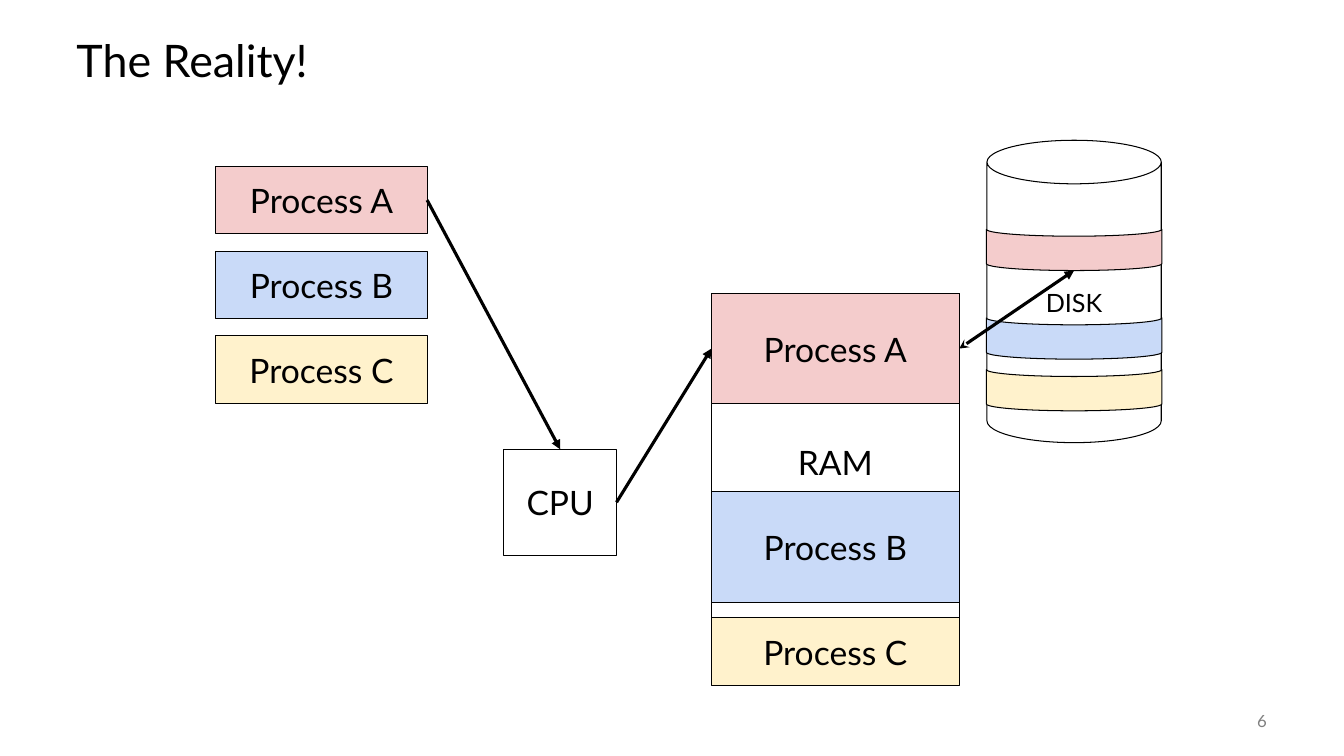
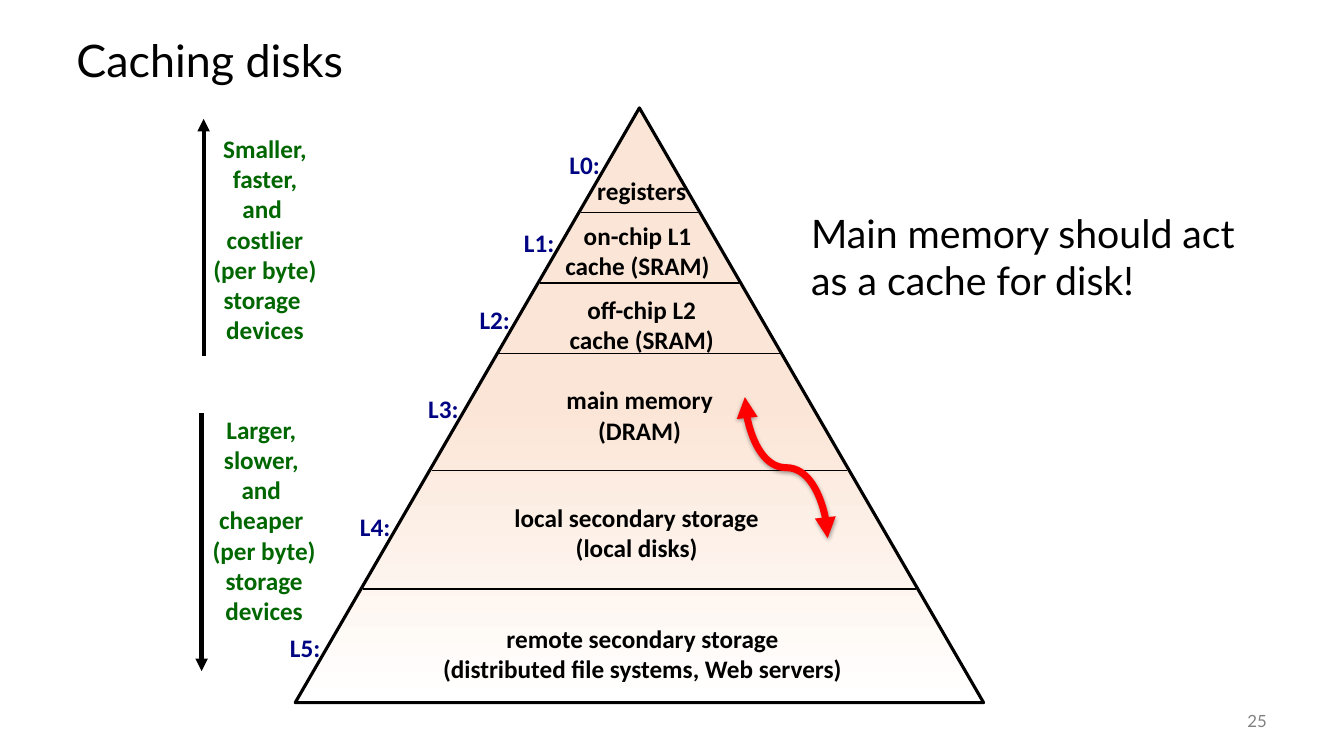
from copy import deepcopy

from lxml.etree import SubElement
from pptx import Presentation
from pptx.dml.color import RGBColor
from pptx.enum.shapes import MSO_CONNECTOR, MSO_SHAPE
from pptx.enum.text import MSO_ANCHOR, MSO_AUTO_SIZE, PP_ALIGN
from pptx.oxml.ns import qn
from pptx.util import Emu, Inches, Pt

# The slide is a grid of 32 columns by 18 rows of square cells.
COLUMNS, ROWS = 32, 18
CELL = Inches(7.5) / ROWS

BLACK = RGBColor(0x00, 0x00, 0x00)
WHITE = RGBColor(0xFF, 0xFF, 0xFF)
GRAY = RGBColor(0x80, 0x80, 0x80)
PINK = RGBColor(0xF4, 0xCC, 0xCC)
BLUE = RGBColor(0xC9, 0xDA, 0xF8)
YELLOW = RGBColor(0xFF, 0xF2, 0xCC)
PEACH = RGBColor(0xFB, 0xE5, 0xD6)
NAVY = RGBColor(0x00, 0x04, 0x82)
GREEN = RGBColor(0x00, 0x66, 0x00)
RED = RGBColor(0xFF, 0x00, 0x00)

BODY_FONT, DIAGRAM_FONT = "Lato", "Calibri"
PROCESSES = [("Process A", PINK), ("Process B", BLUE), ("Process C", YELLOW)]

# Pyramid: left, top, width, height
PYRAMID = (7.03, 2.57, 16.39, 14.16)
DIVIDERS = [5.06, 6.74, 8.42, 11.21, 14.02]
DIVIDER_INSET = 0.05
TAG_OFFSET = 0.53
# Caption lines, caption centre x and y, caption width, tag centre y
LEVELS = [
    (["registers"], 15.28, 4.54, 2.66, 3.91),
    (["on-chip L1", "cache (SRAM)"], 15.18, 5.96, 3.96, 5.78),
    (["off-chip L2", "cache (SRAM)"], 15.28, 7.72, 3.96, 7.61),
    (["main memory", "(DRAM)"], 15.23, 9.88, 4.01, 9.72),
    (["local secondary storage", "(local disks)"], 15.16, 12.68, 6.41, 12.53),
    (["remote secondary storage", "(distributed file systems, Web servers)"],
     15.3, 15.56, 10.15, 15.41),
]
# Trait lines, centre x and y, arrow x, arrow start y, arrow end y
TRAITS = [
    (["Smaller,", "faster,", "and ", "costlier", "(per byte)", "storage ", "devices"],
     6.31, 5.69, 4.85, 8.47, 2.83),
    (["Larger, ", "slower, ", "and ", "cheaper ", "(per byte)", "storage", "devices"],
     6.29, 12.38, 4.8, 9.84, 15.98),
]


def cells(*lengths):
    """Turn lengths in grid cells into EMU."""
    return [Emu(round(length * CELL)) for length in lengths]


def write(frame, lines, size, color=BLACK, font=BODY_FONT, bold=False,
          align=PP_ALIGN.LEFT, anchor=MSO_ANCHOR.MIDDLE, wrap=True):
    frame.word_wrap = wrap
    frame.vertical_anchor = anchor
    for index, line in enumerate(lines):
        paragraph = frame.add_paragraph() if index else frame.paragraphs[0]
        paragraph.alignment = align
        run = paragraph.add_run()
        run.text = line
        run.font.name = font
        run.font.size = Pt(size)
        run.font.bold = bold
        run.font.color.rgb = color


def add_titled_slide(deck, heading, number):
    slide = deck.slides.add_slide(deck.slide_layouts[5])
    title = slide.shapes.title
    title.left, title.top, title.width, title.height = cells(1.58, 0.6, 28.8, 1.8)
    write(title.text_frame, [heading], 32)
    title.text_frame.auto_size = MSO_AUTO_SIZE.NONE
    title.text_frame.paragraphs[0].line_spacing = 0.9
    page = slide.shapes.add_textbox(*cells(28, 16.68, 2.4, 0.96))
    write(page.text_frame, [str(number)], 12, GRAY, align=PP_ALIGN.RIGHT)
    return slide


def add_outlined(slide, preset, area, fill=WHITE, label=None, size=24, weight=0.75):
    shape = slide.shapes.add_shape(preset, *cells(*area))
    shape.shadow.inherit = False
    shape.fill.solid()
    shape.fill.fore_color.rgb = fill
    shape.line.color.rgb = BLACK
    shape.line.width = Pt(weight)
    if label:
        write(shape.text_frame, [label], size, align=PP_ALIGN.CENTER)
    return shape


def add_line(slide, start, end, weight, color=BLACK, head=None, tail=None,
             kind=MSO_CONNECTOR.STRAIGHT):
    """Draw a connector; head and tail are arrowheads at start and end."""
    line = slide.shapes.add_connector(kind, *cells(*start, *end))
    line.line.color.rgb = color
    line.line.width = Pt(weight)
    for tag, arrowhead in (("a:headEnd", head), ("a:tailEnd", tail)):
        if arrowhead:
            SubElement(line.line._get_or_add_ln(), qn(tag), type=arrowhead)
    SubElement(line._element.spPr, qn("a:effectLst"))
    return line


def join(slide, source, target):
    """Draw an arrow between (shape, side) pairs."""
    arrow = add_line(slide, (0, 0), (1, 1), 2.25, tail="triangle")
    arrow.begin_connect(*source)
    arrow.end_connect(*target)


def add_caption(slide, lines, center_x, center_y, width, color=BLACK):
    height = 0.24 + 0.73 * len(lines)
    box = slide.shapes.add_textbox(
        *cells(center_x - width / 2, center_y - height / 2, width, height))
    write(box.text_frame, lines, 18, color, DIAGRAM_FONT, True,
          PP_ALIGN.CENTER, wrap=False)


def add_disk_band(slide, center_x, center_y, fill):
    thickness, length = 0.98, 4.18
    band = add_outlined(
        slide, MSO_SHAPE.FLOWCHART_STORED_DATA,
        (center_x - thickness / 2, center_y - length / 2, thickness, length), fill)
    band.rotation = 270
    return center_x, center_y + thickness / 2


def build_reality(deck):
    slide = add_titled_slide(deck, "The Reality!", 6)
    box = MSO_SHAPE.RECTANGLE
    cpu = add_outlined(slide, box, (12, 10.7, 2.68, 2.52), label="CPU")
    ram_left, ram_top, ram_width = 16.94, 6.98, 5.9
    add_outlined(slide, box, (ram_left, ram_top, ram_width, 8.06), label="RAM")

    queue = [add_outlined(slide, box, (5.14, 3.96 + 2.02 * row, 5.03, 1.61), fill, name)
             for row, (name, fill) in enumerate(PROCESSES)]
    ram_slots = [(ram_top, 2.64), (11.71, 2.64), (14.71, 1.61)]
    resident = [add_outlined(slide, box, (ram_left, top, ram_width, height), fill, name)
                for (name, fill), (top, height) in zip(PROCESSES, ram_slots)]
    join(slide, (queue[0], 3), (cpu, 0))
    join(slide, (cpu, 3), (resident[0], 1))

    disk_left, disk_width = 23.5, 4.15
    add_outlined(slide, MSO_SHAPE.CAN, (disk_left, 3.34, disk_width, 7.2),
                 label="DISK", size=18)
    band_ends = [add_disk_band(slide, disk_left + disk_width / 2, center_y, fill)
                 for (_, fill), center_y in zip(PROCESSES, (5.95, 8.06, 9.29))]
    swap = add_line(slide, (ram_left + ram_width, ram_top + 1.32), band_ends[0], 2.25,
                    head="stealth", tail="triangle")
    swap.begin_connect(resident[0], 3)


def pyramid_edges(y):
    """Left and right x of the pyramid's sides at height y."""
    left, top, width, height = PYRAMID
    center, half = left + width / 2, (y - top) / height * width / 2
    return center - half, center + half


def add_pyramid(slide):
    pyramid = add_outlined(slide, MSO_SHAPE.ISOSCELES_TRIANGLE, PYRAMID, weight=2.25)
    pyramid.fill.gradient()
    pyramid.fill.gradient_angle = 270
    stops = pyramid._element.spPr.find(".//" + qn("a:gsLst"))
    stops.insert(1, deepcopy(stops[0]))
    shades = [(0, PEACH), (0.49, PEACH), (1, WHITE)]
    for stop, (position, color) in zip(pyramid.fill.gradient_stops, shades):
        stop.position = position
        stop.color.rgb = color
    for y in DIVIDERS:
        left, right = pyramid_edges(y)
        add_line(slide, (left + DIVIDER_INSET, y), (right - DIVIDER_INSET, y), 1)


def add_exchange_arrow(slide):
    """Curved arrow between memory and disks, turned to leave upwards."""
    exchange = add_line(slide, (20.4, 10.15), (17.04, 12.12), 5, RED,
                        "triangle", "triangle", MSO_CONNECTOR.CURVE)
    properties = exchange._element.spPr
    properties.find(qn("a:xfrm")).set("rot", str(270 * 60000))
    shadow = SubElement(properties.find(qn("a:effectLst")), qn("a:outerShdw"),
                        blurRad=str(Pt(3.1)), dist=str(Pt(1.6)),
                        dir=str(90 * 60000), rotWithShape="0")
    tint = SubElement(shadow, qn("a:srgbClr"), val=str(BLACK))
    SubElement(tint, qn("a:alpha"), val="37000")


def build_caching(deck):
    slide = add_titled_slide(deck, "Caching disks", 25)
    add_pyramid(slide)
    for level, (lines, center_x, center_y, width, tag_y) in enumerate(LEVELS):
        add_caption(slide, lines, center_x, center_y, width)
        add_caption(slide, [f"L{level}:"], pyramid_edges(tag_y)[0] - TAG_OFFSET,
                    tag_y, 1.22, NAVY)
    for lines, center_x, center_y, arrow_x, start_y, end_y in TRAITS:
        add_caption(slide, lines, center_x, center_y, 2.98, GREEN)
        add_line(slide, (arrow_x, start_y), (arrow_x, end_y), 3, tail="triangle")
    add_exchange_arrow(slide)
    takeaway = slide.shapes.add_textbox(*cells(19.08, 4.87, 10.73, 2.5))
    write(takeaway.text_frame, ["Main memory should act as a cache for disk!"], 28,
          anchor=MSO_ANCHOR.TOP)


def main():
    deck = Presentation()
    deck.slide_width, deck.slide_height = cells(COLUMNS, ROWS)
    build_reality(deck)
    build_caching(deck)
    deck.save("out.pptx")


if __name__ == "__main__":
    main()
